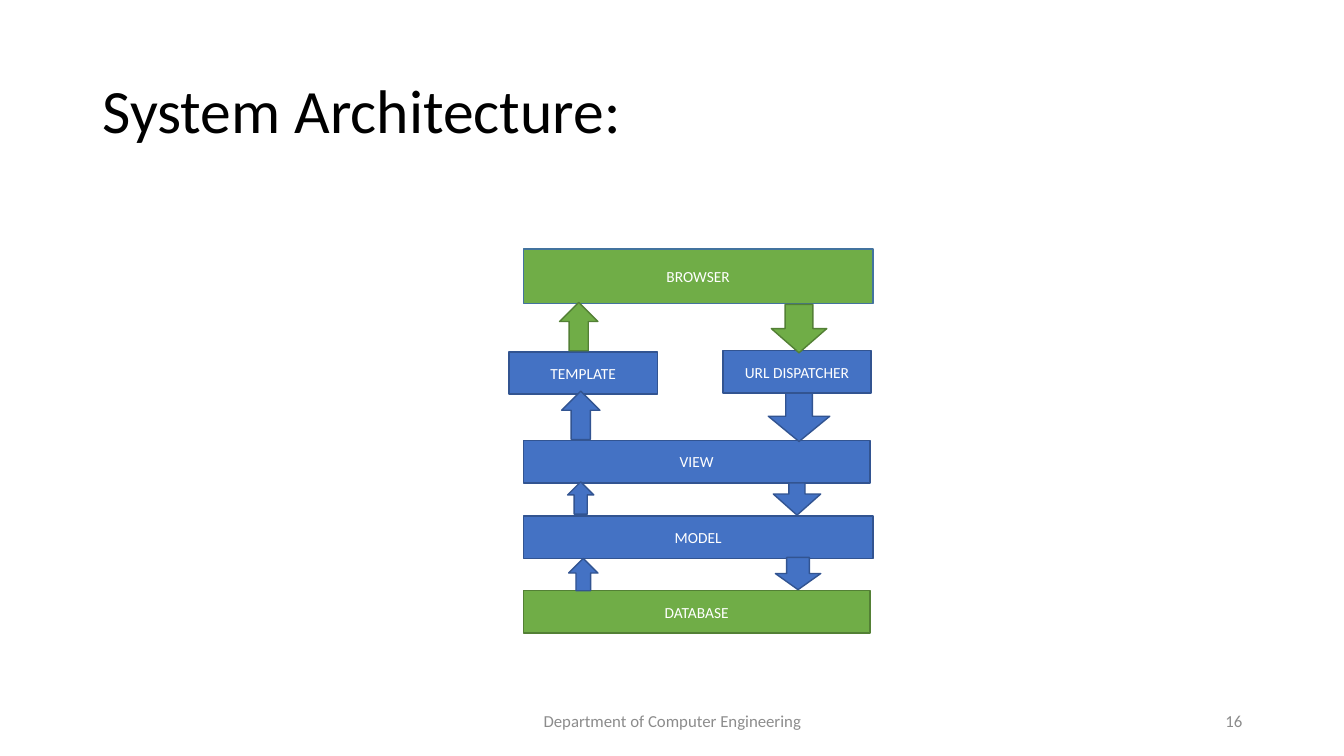
from pptx import Presentation
from pptx import util as u
from pptx.dml import color as dml
from pptx.enum import shapes, text

BLUE, BLUE_EDGE = "4472C4", "325491"
GREEN, GREEN_EDGE = "70AD47", "538035"
LEFT, CENTER, RIGHT = text.PP_ALIGN.LEFT, text.PP_ALIGN.CENTER, text.PP_ALIGN.RIGHT
UP, DOWN = shapes.MSO_SHAPE.UP_ARROW, shapes.MSO_SHAPE.DOWN_ARROW


def rgb(value):
    return dml.RGBColor.from_string(value)


def write(shape, words, size, color, align):
    frame = shape.text_frame
    frame.word_wrap = True
    frame.vertical_anchor = text.MSO_ANCHOR.MIDDLE
    paragraph = frame.paragraphs[0]
    paragraph.text = words
    paragraph.alignment = align
    paragraph.font.name = "Calibri"
    paragraph.font.size = u.Pt(size)
    paragraph.font.color.rgb = rgb(color)
    return paragraph


def add_label(slide, box, words, size, color, align):
    label = slide.shapes.add_textbox(*map(u.Inches, box))
    return write(label, words, size, color, align)


def add_block(slide, kind, box, fill, edge):
    shape = slide.shapes.add_shape(kind, *map(u.Inches, box))
    shape.shadow.inherit = False
    shape.fill.solid()
    shape.fill.fore_color.rgb = rgb(fill)
    shape.line.color.rgb = rgb(edge)
    shape.line.width = u.Pt(1)
    return shape


def add_title(slide, box):
    paragraph = add_label(slide, box, "System Architecture:", 44, "000000", LEFT)
    paragraph.line_spacing = 0.9


def add_footer(slide, box):
    left, top, width, height = box
    number_width = 3
    add_label(slide, (left, top, 4.5, height),
              "Department of Computer Engineering", 12, "8C8C8C", CENTER)
    add_label(slide, (left + width - number_width, top, number_width, height),
              "16", 12, "8C8C8C", RIGHT)


def add_architecture(slide, box):
    left, top, width, height = box

    # Layers: name, offset from the box, size, fill, edge
    layers = [
        ("BROWSER", 0.14, 0, 3.47, 0.54, GREEN, "43739E"),
        ("TEMPLATE", 0, 1.02, 1.47, 0.42, BLUE, BLUE_EDGE),
        ("URL DISPATCHER", 2.12, 1.01, 1.47, 0.42, BLUE, BLUE_EDGE),
        ("VIEW", 0.14, 1.9, 3.44, 0.42, BLUE, BLUE_EDGE),
        ("MODEL", 0.14, 2.65, 3.47, 0.42, BLUE, BLUE_EDGE),
        ("DATABASE", 0.14, height - 0.42, 3.44, 0.42, GREEN, GREEN_EDGE),
    ]
    for name, x, y, layer_width, layer_height, fill, edge in layers:
        layer = add_block(slide, shapes.MSO_SHAPE.RECTANGLE,
                          (left + x, top + y, layer_width, layer_height), fill, edge)
        write(layer, name, 11, "FFFFFF", CENTER)

    # Requests run down, responses run up; the pair next to the browser is green
    arrows = [
        (DOWN, 2.6, 0.55, 0.55, 0.48, (0.5, 0.5)),
        (DOWN, 2.57, 1.43, 0.61, 0.48, (0.432, 0.522)),
        (DOWN, 2.62, 2.32, 0.47, 0.32, (0.339, 0.652)),
        (DOWN, 2.64, 3.06, 0.45, 0.32, (0.5, 0.5)),
        (UP, 0.5, 0.53, 0.38, 0.48, (0.5, 0.5)),
        (UP, 0.52, 1.41, 0.38, 0.48, (0.5, 0.5)),
        (UP, 0.58, 2.31, 0.26, 0.32, (0.5, 0.5)),
        (UP, 0.59, 3.07, 0.29, 0.32, (0.5, 0.5)),
    ]
    for kind, x, y, arrow_width, arrow_height, (shaft, head) in arrows:
        fill, edge = (GREEN, GREEN_EDGE) if y < 1 else (BLUE, BLUE_EDGE)
        arrow = add_block(slide, kind, (left + x, top + y, arrow_width, arrow_height),
                          fill, edge)
        arrow.adjustments[0] = shaft
        arrow.adjustments[1] = head


presentation = Presentation()
presentation.slide_width = u.Inches(13.33)
presentation.slide_height = u.Inches(7.5)
slide = presentation.slides.add_slide(presentation.slide_layouts[6])
add_title(slide, (0.92, 0.4, 11.5, 1.45))
add_footer(slide, (4.42, 6.95, 8, 0.4))
add_architecture(slide, (5.05, 2.47, 3.61, 3.81))
presentation.save("out.pptx")
